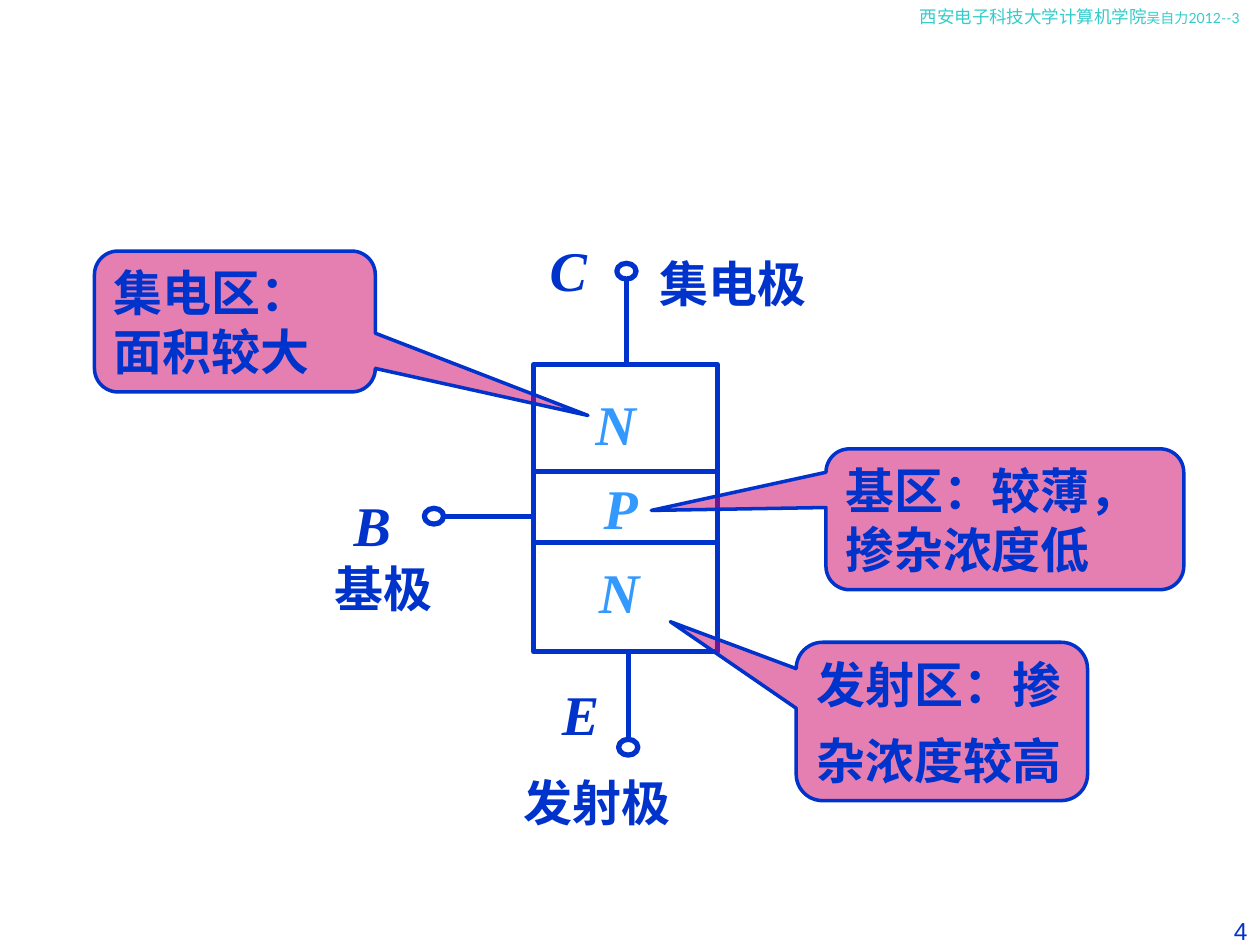
from dataclasses import dataclass

from lxml.etree import SubElement
from pptx import Presentation
from pptx.dml.color import RGBColor
from pptx.enum.shapes import MSO_CONNECTOR, MSO_SHAPE
from pptx.enum.text import MSO_ANCHOR, MSO_AUTO_SIZE, PP_ALIGN
from pptx.oxml.ns import qn
from pptx.util import Pt


@dataclass(frozen=True)
class Theme:
    ink: RGBColor = RGBColor(0x00, 0x33, 0xCC)
    region: RGBColor = RGBColor(0x33, 0x99, 0xFF)
    header: RGBColor = RGBColor(0x33, 0xCC, 0xCC)
    callout: RGBColor = RGBColor(0xCC, 0x00, 0x66)
    callout_alpha: int = 50000
    serif: str = "Times New Roman"
    sans: str = "Arial"
    header_font: str = "Lato"
    symbol: int = 32
    label: int = 28
    page: int = 14
    school: int = 10
    author: int = 8


THEME = Theme()


def style_font(font, size, color, name=THEME.serif, bold=False, italic=False):
    font.name, font.size = name, Pt(size)
    font.bold, font.italic = bold, italic
    font.color.rgb = color


def add_text(slide, box, text, align=PP_ALIGN.CENTER,
             anchor=MSO_ANCHOR.MIDDLE, wrap=False, **font):
    frame = slide.shapes.add_textbox(*map(Pt, box)).text_frame
    frame.word_wrap, frame.vertical_anchor = wrap, anchor
    if not wrap:
        frame.auto_size = MSO_AUTO_SIZE.SHAPE_TO_FIT_TEXT
    paragraph = frame.paragraphs[0]
    paragraph.text, paragraph.alignment = text, align
    style_font(paragraph.font, **font)


def add_outline(slide, kind, box, weight):
    shape = slide.shapes.add_shape(kind, *map(Pt, box))
    shape.shadow.inherit = False
    shape.fill.background()
    shape.line.color.rgb, shape.line.width = THEME.ink, Pt(weight)
    return shape


def add_lead(slide, start, end):
    lead = slide.shapes.add_connector(
        MSO_CONNECTOR.STRAIGHT, *map(Pt, (*start, *end)))
    lead.line.color.rgb, lead.line.width = THEME.ink, Pt(3)
    SubElement(lead._element.spPr, qn("a:effectLst"))


def add_header(slide, box):
    frame = slide.shapes.add_textbox(*map(Pt, box)).text_frame
    frame.word_wrap = True
    line = frame.paragraphs[0]
    for text, size in (("西安电子科技大学计算机学院", THEME.school),
                       ("吴自力2012--3", THEME.author)):
        run = line.add_run()
        run.text = text
        style_font(run.font, size, THEME.header, THEME.header_font)


def add_transistor(slide, left, top):
    """Draw the three stacked regions with their terminals and labels."""
    def at(x, y, *size):
        return (left + x, top + y, *size)

    region_top = 77.5
    for height in (61, 40.5, 62.5):
        add_outline(slide, MSO_SHAPE.RECTANGLE,
                    at(121, region_top, 105, height), 3)
        region_top += height

    # terminal centre, lead start, lead end
    for (x, y), start, end in (((174, 24), (174, 29), (174, 77)),
                               ((64, 164), (68, 164), (122, 164)),
                               ((175, 296), (175, 291), (175, 243))):
        add_lead(slide, at(*start), at(*end))
        add_outline(slide, MSO_SHAPE.OVAL, at(x - 5.5, y - 4.5, 11, 9), 3)

    for symbol, x, y, color in (("C", 123, 0, THEME.ink),
                                ("B", 11, 145.5, THEME.ink),
                                ("E", 130, 253.5, THEME.ink),
                                ("N", 149, 88, THEME.region),
                                ("P", 152, 135.5, THEME.region),
                                ("N", 151, 183.5, THEME.region)):
        width = 35 if color == THEME.ink else 37.5
        add_text(slide, at(x, y, width, 46), symbol, size=THEME.symbol,
                 color=color, bold=True, italic=True)

    for electrode, x, y, width in (("集电极", 183, 10, 104),
                                   ("基极", -3, 184.5, 76),
                                   ("发射极", 105, 307, 104)):
        add_text(slide, at(x, y, width, 41), electrode, size=THEME.label,
                 color=THEME.ink, bold=True)


def add_callout(slide, box, tip, lines, wrap=True):
    """Point a rounded callout at tip, given as shares of its size from its centre."""
    callout = add_outline(slide, MSO_SHAPE.ROUNDED_RECTANGULAR_CALLOUT, box, 2)
    for index, value in enumerate((*tip, 0.167)):
        callout.adjustments[index] = value
    callout.fill.solid()
    callout.fill.fore_color.rgb = THEME.callout
    color = callout._element.spPr.find(qn("a:solidFill")).find(qn("a:srgbClr"))
    SubElement(color, qn("a:alpha")).set("val", str(THEME.callout_alpha))

    frame = callout.text_frame
    frame.word_wrap, frame.vertical_anchor = wrap, MSO_ANCHOR.MIDDLE
    for index, text in enumerate(lines):
        paragraph = frame.add_paragraph() if index else frame.paragraphs[0]
        paragraph.text, paragraph.alignment = text, PP_ALIGN.LEFT
        if index:
            paragraph.space_before, paragraph.line_spacing = Pt(17.5), 0.75
        style_font(paragraph.font, THEME.label, THEME.ink, bold=True)


def main():
    deck = Presentation()
    deck.slide_width, deck.slide_height = Pt(720), Pt(540)
    slide = deck.slides.add_slide(deck.slide_layouts[6])

    add_header(slide, (518.5, 0, 201.5, 19.5))
    add_text(slide, (690, 520, 30, 20), "4", PP_ALIGN.RIGHT, MSO_ANCHOR.TOP,
             True, size=THEME.page, color=THEME.ink, name=THEME.sans)
    add_transistor(slide, 184, 131)
    add_callout(slide, (472, 256.5, 204.5, 80.5), (-0.988, -0.063),
                ["基区：较薄，掺杂浓度低"])
    add_callout(slide, (54, 143.5, 160.5, 80.5), (1.257, 0.667),
                ["集电区：面积较大"])
    add_callout(slide, (455, 367, 166.5, 90.5), (-0.932, -0.63),
                ["发射区：掺", "杂浓度较高"], wrap=False)
    deck.save("out.pptx")


if __name__ == "__main__":
    main()
